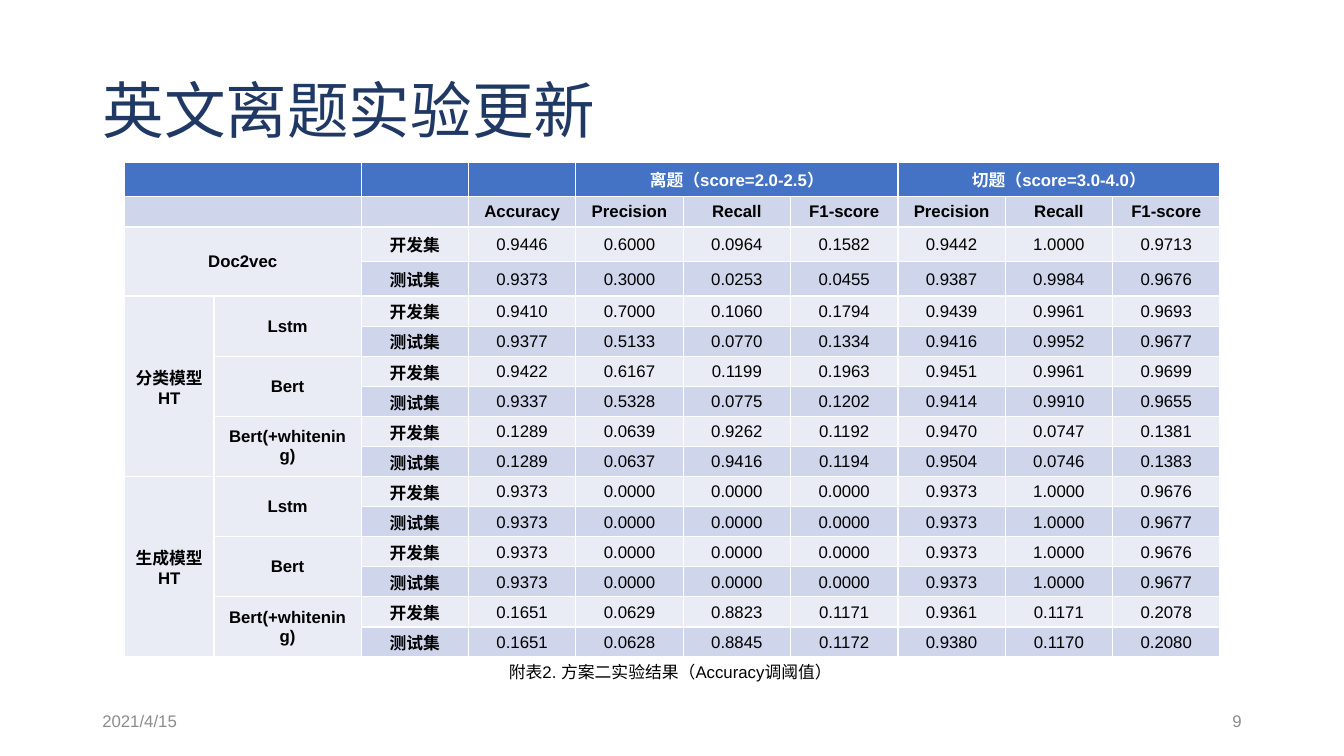
from pptx import Presentation
from pptx.dml.color import RGBColor
from pptx.enum.text import MSO_ANCHOR as Anchor, MSO_AUTO_SIZE as AutoSize, PP_ALIGN as Align
from pptx.util import Pt

TITLE = "英文离题实验更新"
CAPTION = "附表2. 方案二实验结果（Accuracy调阈值）"
DATE, PAGE = "2021/4/15", "9"

TOPICS = ["离题（score=2.0-2.5）", "切题（score=3.0-4.0）"]
TOPIC_METRICS = ["Precision", "Recall", "F1-score"]
METRICS = ["Accuracy"] + TOPIC_METRICS * len(TOPICS)
DATASETS = ["开发集", "测试集"]

# Each model has one line of metrics per data set
BASELINE = ("Doc2vec", [
    "0.9446 0.6000 0.0964 0.1582 0.9442 1.0000 0.9713",
    "0.9373 0.3000 0.0253 0.0455 0.9387 0.9984 0.9676"])
FAMILIES = {
    "分类模型HT": [
        ("Lstm", ["0.9410 0.7000 0.1060 0.1794 0.9439 0.9961 0.9693",
                  "0.9377 0.5133 0.0770 0.1334 0.9416 0.9952 0.9677"]),
        ("Bert", ["0.9422 0.6167 0.1199 0.1963 0.9451 0.9961 0.9699",
                  "0.9337 0.5328 0.0775 0.1202 0.9414 0.9910 0.9655"]),
        ("Bert(+whitening)", ["0.1289 0.0639 0.9262 0.1192 0.9470 0.0747 0.1381",
                              "0.1289 0.0637 0.9416 0.1194 0.9504 0.0746 0.1383"]),
    ],
    "生成模型HT": [
        ("Lstm", ["0.9373 0.0000 0.0000 0.0000 0.9373 1.0000 0.9676",
                  "0.9373 0.0000 0.0000 0.0000 0.9373 1.0000 0.9677"]),
        ("Bert", ["0.9373 0.0000 0.0000 0.0000 0.9373 1.0000 0.9676",
                  "0.9373 0.0000 0.0000 0.0000 0.9373 1.0000 0.9677"]),
        ("Bert(+whitening)", ["0.1651 0.0629 0.8823 0.1171 0.9361 0.1171 0.2078",
                              "0.1651 0.0628 0.8845 0.1172 0.9380 0.1170 0.2080"]),
    ],
}

NAVY = RGBColor(0x20, 0x38, 0x64)
BLUE = RGBColor(0x44, 0x72, 0xC4)
DARK_BAND = RGBColor(0xCF, 0xD5, 0xEA)
LIGHT_BAND = RGBColor(0xE9, 0xEB, 0xF5)
GREY = RGBColor(0x8C, 0x8C, 0x8C)
BLACK = RGBColor(0, 0, 0)
WHITE = RGBColor(255, 255, 255)

COLUMN_WIDTHS = [64.1, 105.1] + [76.7] * 8
ROW_HEIGHTS = [24.3, 21] + [24.6] * 2 + [21.5] * 12
DATASET_COL, METRIC_COL = 2, 3
FIRST_BODY_ROW = 2


def write(frame, text, size=12, font="Arial", color=BLACK, bold=False,
          align=Align.LEFT, spacing=None):
    paragraph = frame.paragraphs[0]
    paragraph.alignment = align
    if spacing:
        paragraph.line_spacing = spacing
    run = paragraph.add_run()
    run.text = text
    run.font.size, run.font.name = Pt(size), font
    run.font.bold, run.font.color.rgb = bold, color


def add_label(slide, text, left, top, width, height, anchor=Anchor.MIDDLE, **style):
    frame = slide.shapes.add_textbox(Pt(left), Pt(top), Pt(width), Pt(height)).text_frame
    frame.word_wrap = True
    frame.vertical_anchor = anchor
    write(frame, text, **style)


def write_cell(table, row, col, text, rows=1, cols=1, color=BLACK, bold=True, tight=False):
    """Fill one cell, spanning rows by cols; tight cells have almost no margins."""
    cell = table.cell(row, col)
    if rows * cols > 1:
        cell.merge(table.cell(row + rows - 1, col + cols - 1))
    if tight:
        cell.margin_left = cell.margin_right = cell.margin_top = Pt(0.7)
        cell.margin_bottom = Pt(0)
    if text:
        write(cell.text_frame, text, color=color, bold=bold, align=Align.CENTER)


def paint_cells(table):
    for row_index, row in enumerate(table.rows):
        band = DARK_BAND if row_index % 2 else LIGHT_BAND
        for cell in row.cells:
            cell.fill.solid()
            cell.fill.fore_color.rgb = band if row_index else BLUE
            cell.vertical_anchor = Anchor.MIDDLE
            # Keeps empty cells from stretching their row
            cell.text_frame.paragraphs[0]._p.get_or_add_endParaRPr().set("sz", "1200")


def write_model(table, row, col, model, results, cols=1):
    write_cell(table, row, col, model, rows=len(DATASETS), cols=cols)
    for line, (dataset, values) in enumerate(zip(DATASETS, results), row):
        write_cell(table, line, DATASET_COL, dataset, tight=row > FIRST_BODY_ROW)
        for metric_col, value in enumerate(values.split(), METRIC_COL):
            write_cell(table, line, metric_col, value, bold=False, tight=True)


def add_results(slide, left, top):
    table = slide.shapes.add_table(
        len(ROW_HEIGHTS), len(COLUMN_WIDTHS), Pt(left), Pt(top),
        Pt(sum(COLUMN_WIDTHS)), Pt(sum(ROW_HEIGHTS))).table
    for column, width in zip(table.columns, COLUMN_WIDTHS):
        column.width = Pt(width)
    for row, height in zip(table.rows, ROW_HEIGHTS):
        row.height = Pt(height)
    paint_cells(table)

    for row in range(FIRST_BODY_ROW):
        write_cell(table, row, 0, "", cols=2)
    span = len(TOPIC_METRICS)
    for index, topic in enumerate(TOPICS):
        write_cell(table, 0, METRIC_COL + 1 + index * span, topic, cols=span, color=WHITE)
    for col, metric in enumerate(METRICS, METRIC_COL):
        write_cell(table, 1, col, metric)

    row = FIRST_BODY_ROW
    write_model(table, row, 0, *BASELINE, cols=2)
    row += len(DATASETS)
    for family, models in FAMILIES.items():
        write_cell(table, row, 0, family, rows=len(models) * len(DATASETS))
        for model, results in models:
            write_model(table, row, 1, model, results)
            row += len(DATASETS)


def main():
    deck = Presentation()
    deck.slide_width, deck.slide_height = Pt(960), Pt(540)
    slide = deck.slides.add_slide(deck.slide_layouts[5])

    title = slide.shapes.title
    title.left, title.top, title.width, title.height = Pt(66), Pt(28.8), Pt(828), Pt(104.4)
    title.text_frame.auto_size = AutoSize.NONE
    title.text_frame.vertical_anchor = Anchor.MIDDLE
    write(title.text_frame, TITLE, size=44, font="Times New Roman", color=NAVY, spacing=0.9)

    add_results(slide, 88.8, 115.7)
    add_label(slide, CAPTION, 356.4, 469.4, 247.7, 21.8, anchor=Anchor.TOP)
    add_label(slide, DATE, 66, 500.5, 216, 28.8, color=GREY)
    add_label(slide, PAGE, 678, 500.5, 216, 28.8, color=GREY, align=Align.RIGHT)
    deck.save("out.pptx")


if __name__ == "__main__":
    main()
